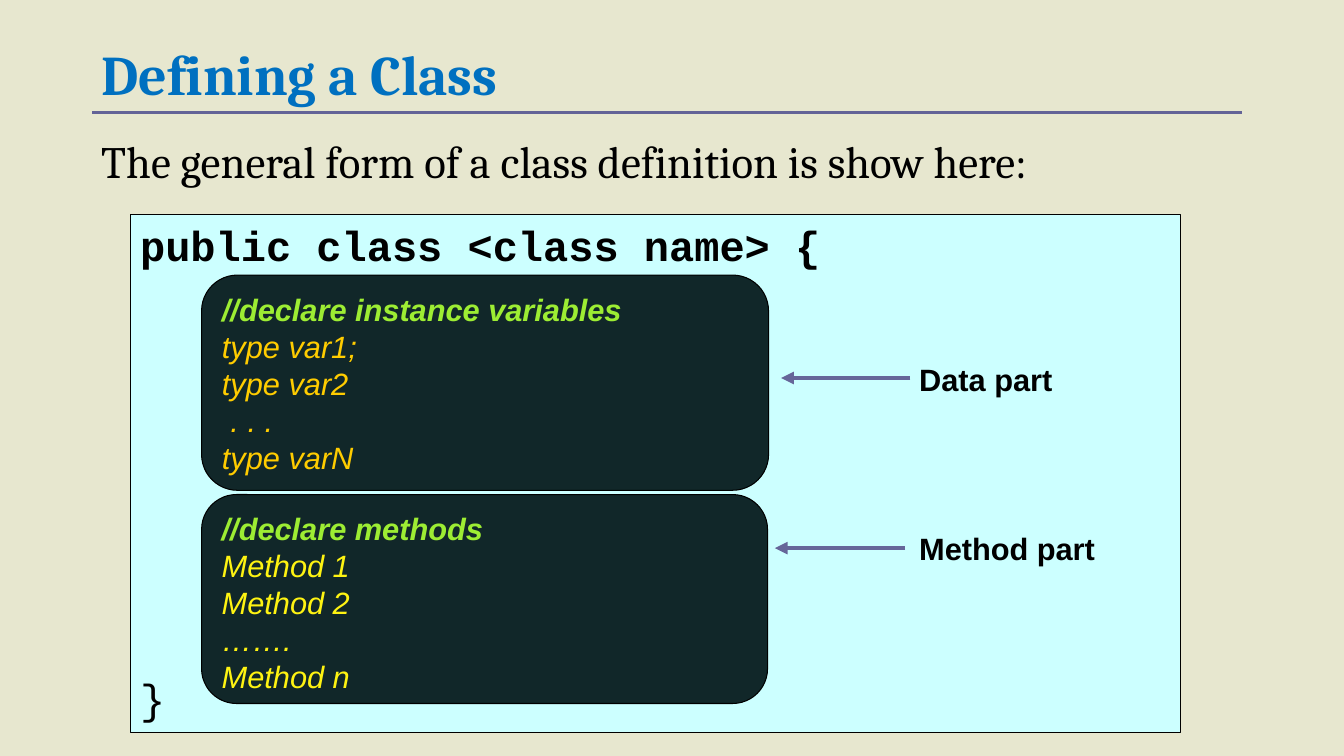
from lxml.etree import SubElement
from pptx import Presentation
from pptx.dml.color import RGBColor
from pptx.enum.shapes import MSO_CONNECTOR, MSO_SHAPE
from pptx.enum.text import MSO_ANCHOR, PP_ALIGN
from pptx.oxml.ns import qn
from pptx.util import Pt

PX = 9525  # EMU per px, 96 px to the inch
INK = "000000"
LIME = "9DED33"


def color(code):
    return RGBColor.from_string(code)


def write(shape, lines, size, font, pitch=None, anchor=MSO_ANCHOR.TOP,
          align=PP_ALIGN.LEFT):
    """Each line is (text, color, bold, italic)."""
    frame = shape.text_frame
    frame.word_wrap = True
    frame.vertical_anchor = anchor
    for i, (text, code, bold, slant) in enumerate(lines):
        para = frame.add_paragraph() if i else frame.paragraphs[0]
        para.alignment = align
        if pitch:
            para.line_spacing = pitch
        run = para.add_run()
        run.text = text
        run.font.name = font
        run.font.size = Pt(size)
        run.font.bold = bold
        run.font.italic = slant
        run.font.color.rgb = color(code)
    return frame


def add_text(slide, box, lines, size, font, **style):
    shape = slide.shapes.add_textbox(*[v * PX for v in box])
    write(shape, lines, size, font, **style)


def add_box(slide, kind, box, fill):
    shape = slide.shapes.add_shape(kind, *[v * PX for v in box])
    shape.shadow.inherit = False
    shape.fill.solid()
    shape.fill.fore_color.rgb = color(fill)
    shape.line.color.rgb = color(INK)
    shape.line.width = Pt(0.75)
    return shape


def add_part(slide, box, head, items, code):
    shape = add_box(slide, MSO_SHAPE.ROUNDED_RECTANGLE, box, "112729")
    lines = [(head, LIME, True, True)]
    lines += [(item, code, False, True) for item in items]
    write(shape, lines, 22, "Arial", pitch=Pt(26.4))


def add_line(slide, start, end, y, code, width, arrow=False):
    line = slide.shapes.add_connector(
        MSO_CONNECTOR.STRAIGHT, start * PX, y * PX, end * PX, y * PX)
    line.line.color.rgb = color(code)
    line.line.width = Pt(width)
    if arrow:
        SubElement(line.line._get_or_add_ln(), qn("a:tailEnd"), type="triangle")
    SubElement(line._element.spPr, qn("a:effectLst"))


def main():
    deck = Presentation()
    deck.slide_width, deck.slide_height = 1280 * PX, 720 * PX
    slide = deck.slides.add_slide(deck.slide_layouts[6])
    slide.background.fill.solid()
    slide.background.fill.fore_color.rgb = color("E7E7CF")

    # Title and lead
    add_text(slide, (87, 34, 888, 71),
             [("Defining a Class", "0070C0", True, False)],
             40, "Cambria", anchor=MSO_ANCHOR.MIDDLE)
    add_line(slide, 88, 1183, 107, "636397", 2.5)
    add_text(slide, (87, 128, 1095, 76),
             [("The general form of a class definition is show here:",
               INK, False, False)],
             32, "Cambria", pitch=0.9, align=PP_ALIGN.JUSTIFY)

    # Class frame, with eight lines of room before the brace
    panel = add_box(slide, MSO_SHAPE.RECTANGLE, (124, 204, 1000, 494), "CCFFFF")
    frame = write(panel, [("public class <class name> {", INK, True, False),
                          ("}", INK, False, False)],
                  30, "Courier New", pitch=Pt(36))
    frame.paragraphs[1].space_before = Pt(8 * 36)

    # Parts of the class
    add_part(slide, (192, 262, 540, 205), "//declare instance variables",
             ["type var1;", "type var2", " . . .", "type varN"], "FFCC00")
    add_part(slide, (192, 471, 539, 199), "//declare methods",
             ["Method 1", "Method 2", "…….", "Method n"], "FEF312")

    # Labels and arrows
    for text, top, width, start, end, y in [
            ("Data part", 339, 148, 867, 744, 360),
            ("Method part", 500, 218, 862, 738, 522)]:
        add_text(slide, (866, top, width, 45), [(text, INK, True, False)],
                 22, "Arial", pitch=Pt(26.4))
        add_line(slide, start, end, y, "666699", 3, arrow=True)

    deck.save("out.pptx")


if __name__ == "__main__":
    main()
